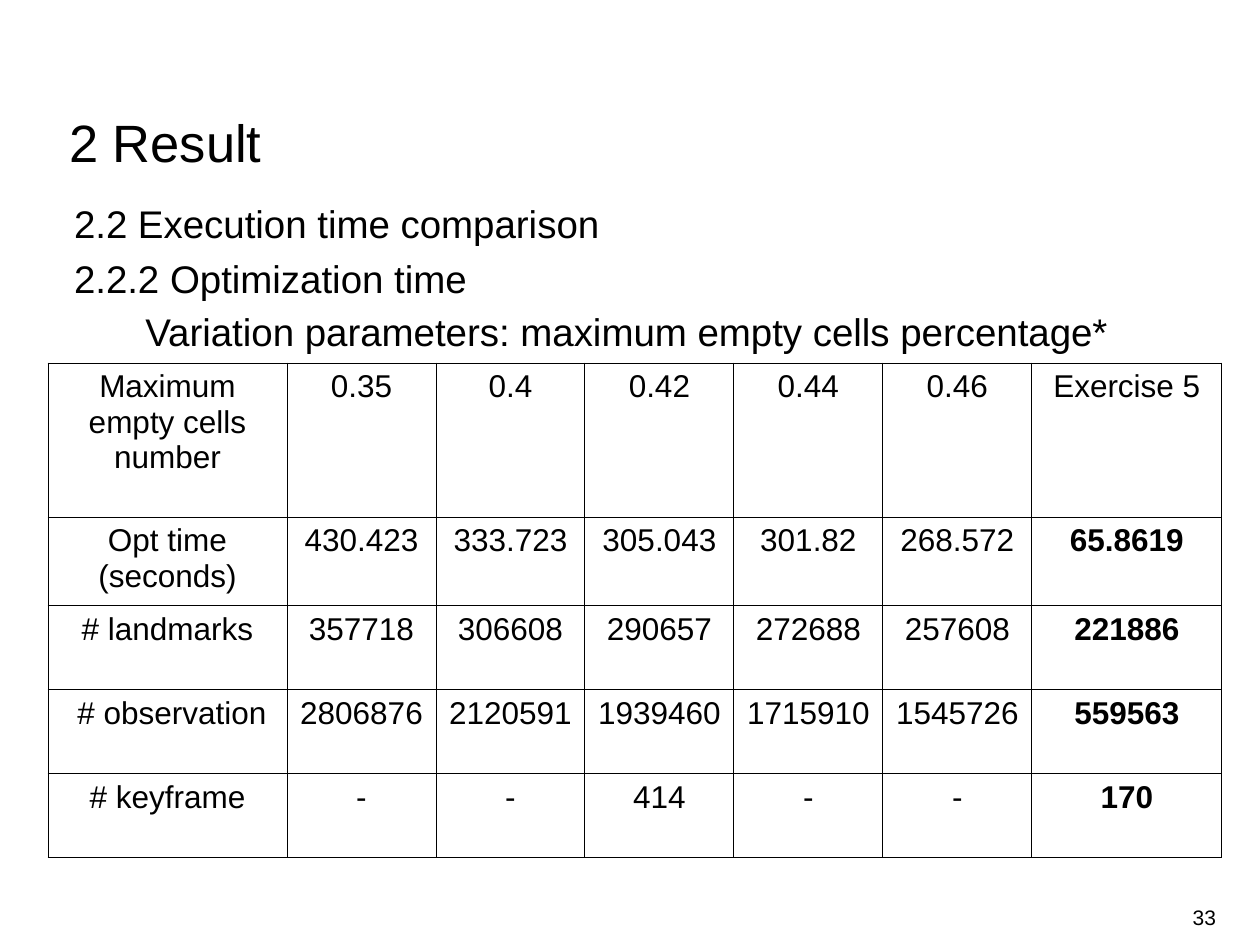
from lxml import etree
from pptx import Presentation, util as u
from pptx.dml.color import RGBColor
from pptx.enum import text
from pptx.oxml.ns import qn

PX = u.Inches(1) / 126
COLORS = {"ink": "000000", "paper": "FFFFFF"}
FONT = "Arial"


def px(*lengths):
    return [u.Emu(round(length * PX)) for length in lengths]


def write(frame, lines, size, align=None, bold=None, spacing=None):
    for i, line in enumerate(lines):
        paragraph = frame.paragraphs[0] if i == 0 else frame.add_paragraph()
        paragraph.alignment = align
        paragraph.line_spacing = spacing
        run = paragraph.add_run()
        run.text = line
        run.font.name = FONT
        run.font.size = u.Pt(size)
        run.font.bold = bold
        run.font.color.rgb = RGBColor.from_string(COLORS["ink"])


deck = Presentation()
deck.slide_width, deck.slide_height = px(1260, 945)
slide = deck.slides.add_slide(deck.slide_layouts[5])
slide.background.fill.solid()
slide.background.fill.fore_color.rgb = RGBColor.from_string(COLORS["paper"])

# Title
title = slide.shapes.title
title.left, title.top, title.width, title.height = px(69, 117, 863, 57)
heading = title.text_frame
heading.margin_left = heading.margin_right = heading.margin_top = heading.margin_bottom = 0
heading.vertical_anchor = text.MSO_ANCHOR.TOP
heading.auto_size = text.MSO_AUTO_SIZE.NONE
write(heading, ["2 Result"], 30, text.PP_ALIGN.LEFT, spacing=u.Pt(32))

# Section headings
sections = slide.shapes.add_textbox(*px(74, 194, 1115, 614)).text_frame
sections.word_wrap = True
sections.margin_left = sections.margin_right = sections.margin_top = sections.margin_bottom = 0
write(sections, ["2.2 Execution time comparison", "2.2.2 Optimization time"], 22, spacing=1.14)
sections.paragraphs[1].space_before = u.Pt(1)

# Slide number
number = slide.shapes.add_textbox(*px(934, 892, 282, 50)).text_frame
number.word_wrap = True
number.margin_left = number.margin_right = 0
number.vertical_anchor = text.MSO_ANCHOR.MIDDLE
write(number, ["33"], 12, text.PP_ALIGN.RIGHT)

# Results table
results = [
    ["Maximum empty cells number", "0.35", "0.4", "0.42", "0.44", "0.46", "Exercise 5"],
    ["Opt time\n(seconds)", "430.423", "333.723", "305.043", "301.82", "268.572", "65.8619"],
    ["# landmarks", "357718", "306608", "290657", "272688", "257608", "221886"],
    [" # observation", "2806876", "2120591", "1939460", "1715910", "1545726", "559563"],
    ["# keyframe", "-", "-", "414", "-", "-", "170"],
]
column_widths = [239] + [149] * 5 + [190]
row_heights = [154] + [84] * 4
table = slide.shapes.add_table(
    len(row_heights), len(column_widths),
    *px(48, 363, sum(column_widths), sum(row_heights))).table
table.first_row = table.horz_banding = False
for column, width in zip(table.columns, px(*column_widths)):
    column.width = width
for row, height in zip(table.rows, px(*row_heights)):
    row.height = height

for r, values in enumerate(results):
    for c, value in enumerate(values):
        cell = table.cell(r, c)
        is_exercise_result = r > 0 and c == len(values) - 1
        write(cell.text_frame, value.split("\n"), 18, text.PP_ALIGN.CENTER, is_exercise_result)
        properties = cell._tc.get_or_add_tcPr()
        for side in ("lnL", "lnR", "lnT", "lnB"):
            border = etree.SubElement(properties, qn(f"a:{side}"), w=str(u.Pt(0.57)))
            ink = etree.SubElement(border, qn("a:solidFill"))
            etree.SubElement(ink, qn("a:srgbClr"), val=COLORS["ink"])
        cell.fill.background()

# Table caption
caption = slide.shapes.add_textbox(*px(133, 302, 991, 98)).text_frame
caption.word_wrap = True
write(caption, ["Variation parameters: maximum empty cells percentage*"], 22)

deck.save("out.pptx")
